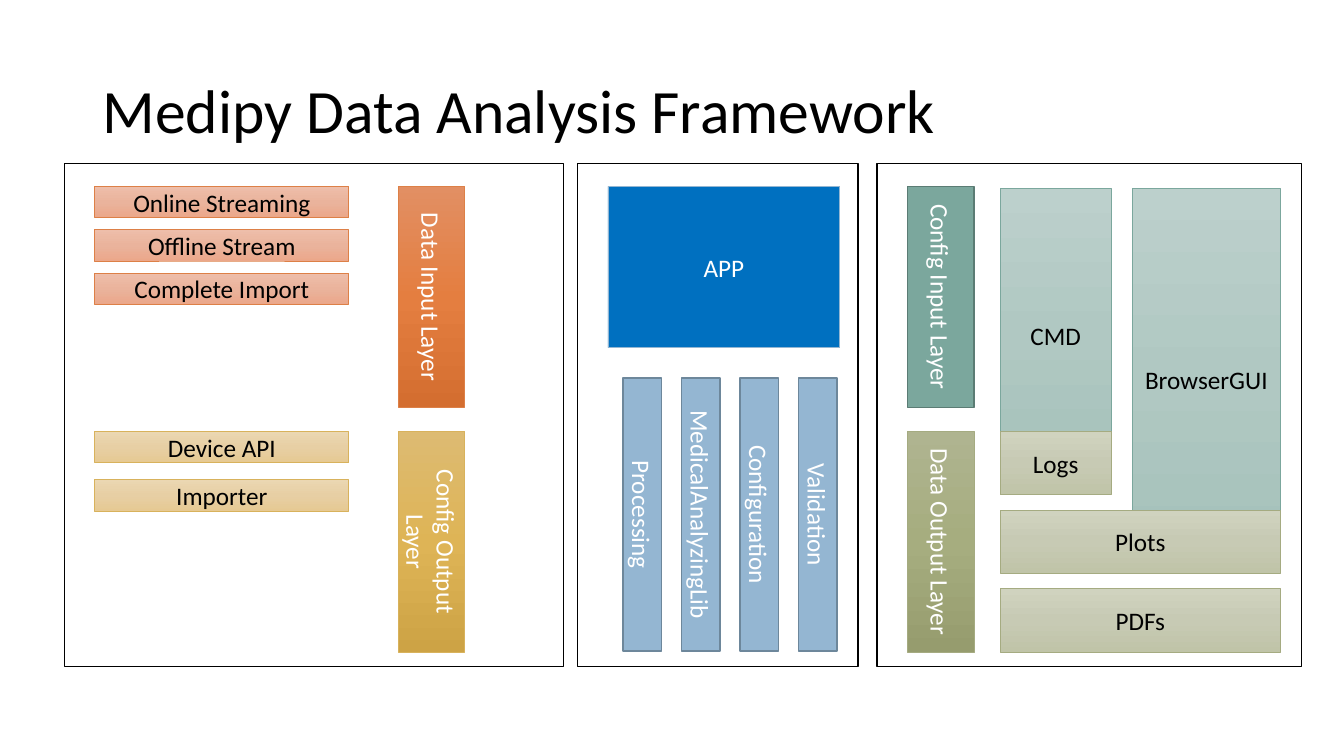
from collections import namedtuple
from copy import deepcopy

from pptx import Presentation
from pptx.dml.color import RGBColor
from pptx.enum.shapes import MSO_SHAPE
from pptx.enum.text import MSO_ANCHOR, PP_ALIGN
from pptx.oxml.ns import qn
from pptx.util import Inches, Pt

RECTANGLE = MSO_SHAPE.RECTANGLE
MIDDLE = MSO_ANCHOR.MIDDLE
CENTER = PP_ALIGN.CENTER
FONT = "Calibri"

BLACK = RGBColor(0x00, 0x00, 0x00)
WHITE = RGBColor(0xFF, 0xFF, 0xFF)
APP_BLUE = RGBColor(0x00, 0x70, 0xC0)
SOFT_BLUE = RGBColor(0x94, 0xB6, 0xD2)
SLATE = RGBColor(0x6D, 0x87, 0x9B)
ORANGE = RGBColor(0xDD, 0x80, 0x47)
GOLD = RGBColor(0xD8, 0xB2, 0x5C)
TEAL = RGBColor(0x7B, 0xA7, 0x9D)
DARK_TEAL = RGBColor(0x5B, 0x7C, 0x74)
OLIVE = RGBColor(0xA5, 0xAB, 0x81)

ORANGE_FADE = [RGBColor(0xE2, 0x8F, 0x63), RGBColor(0xE4, 0x7E, 0x40), RGBColor(0xD4, 0x6E, 0x30)]
PEACH_FADE = [RGBColor(0xEE, 0xBE, 0xAA), RGBColor(0xEA, 0xB3, 0x9C), RGBColor(0xEB, 0xA7, 0x8A)]
GOLD_FADE = [RGBColor(0xDD, 0xBB, 0x72), RGBColor(0xDE, 0xB4, 0x56), RGBColor(0xCD, 0xA3, 0x45)]
SAND_FADE = [RGBColor(0xEB, 0xD7, 0xB2), RGBColor(0xE7, 0xCF, 0xA4), RGBColor(0xE6, 0xC9, 0x93)]
MINT_FADE = [RGBColor(0xBC, 0xD0, 0xCC), RGBColor(0xB0, 0xC8, 0xC2), RGBColor(0xA4, 0xC1, 0xBA)]
OLIVE_FADE = [RGBColor(0xAF, 0xB4, 0x90), RGBColor(0xA6, 0xAD, 0x7F), RGBColor(0x96, 0x9C, 0x6E)]
SAGE_FADE = [RGBColor(0xD0, 0xD3, 0xBF), RGBColor(0xC7, 0xCA, 0xB4), RGBColor(0xC0, 0xC4, 0xA8)]

# A style's colors: one for a solid fill, three for a fade from top to bottom.
Style = namedtuple("Style", "colors line width text")
APP = Style([APP_BLUE], SOFT_BLUE, 0.5, WHITE)
MODULE = Style([SOFT_BLUE], SLATE, 1, WHITE)
DATA_INPUT = Style(ORANGE_FADE, ORANGE, 0.5, WHITE)
DATA_SOURCE = Style(PEACH_FADE, ORANGE, 0.5, BLACK)
CONFIG_OUTPUT = Style(GOLD_FADE, GOLD, 0.5, WHITE)
CONFIG_TARGET = Style(SAND_FADE, GOLD, 0.5, BLACK)
CONFIG_INPUT = Style([TEAL], DARK_TEAL, 1, WHITE)
INTERFACE = Style(MINT_FADE, TEAL, 0.5, BLACK)
DATA_OUTPUT = Style(OLIVE_FADE, OLIVE, 0.5, WHITE)
RESULT = Style(SAGE_FADE, OLIVE, 0.5, BLACK)

Box = namedtuple("Box", "left top width height")
TITLE_BOX = Box(0.92, 0.4, 11.5, 1.45)
DEVICE_PANEL = Box(0.64, 1.62, 4.95, 4.99)
APP_PANEL = Box(5.73, 1.62, 2.78, 4.99)
USER_PANEL = Box(8.7, 1.62, 4.21, 4.99)

LAYER_SIZE = (0.66, 2.19)
LAYER_TOPS = (0.23, 2.66)


def inside(panel, left, top, width, height):
    return Box(panel.left + left, panel.top + top, width, height)


def format_runs(paragraph, size, color):
    for run in paragraph.runs:
        run.font.name = FONT
        run.font.size = Pt(size)
        run.font.color.rgb = color


def fade(shape, colors):
    """Fill the shape with evenly spaced colors running downwards."""
    shape.fill.gradient()
    shape.fill.gradient_angle = 270
    stop_list = shape._element.spPr.find(qn("a:gradFill")).find(qn("a:gsLst"))
    stop_list.insert(1, deepcopy(stop_list[0]))
    for i, (stop, color) in enumerate(zip(shape.fill.gradient_stops, colors)):
        stop.position = i / (len(colors) - 1)
        stop.color.rgb = color


def add_rectangle(slide, box, line, width):
    rectangle = slide.shapes.add_shape(RECTANGLE, *map(Inches, box))
    rectangle.shadow.inherit = False
    rectangle.line.color.rgb = line
    rectangle.line.width = Pt(width)
    return rectangle


def add_frame(slide, panel):
    add_rectangle(slide, panel, BLACK, 1).fill.background()


def add_block(slide, box, label, style, vertical=False):
    block = add_rectangle(slide, box, style.line, style.width)
    if len(style.colors) == 1:
        block.fill.solid()
        block.fill.fore_color.rgb = style.colors[0]
    else:
        fade(block, style.colors)
    frame = block.text_frame
    frame.text = label
    frame.word_wrap = True
    frame.vertical_anchor = MIDDLE
    if vertical:
        frame._txBody.bodyPr.set("vert", "vert")
    frame.paragraphs[0].alignment = CENTER
    format_runs(frame.paragraphs[0], 18, style.text)


def add_layers(slide, panel, left, layers):
    """Stack the upright layer bars of a panel."""
    for top, (label, style) in zip(LAYER_TOPS, layers):
        add_block(slide, inside(panel, left, top, *LAYER_SIZE), label, style, vertical=True)


def add_title(slide, box):
    frame = slide.shapes.add_textbox(*map(Inches, box)).text_frame
    frame.word_wrap = True
    frame.vertical_anchor = MIDDLE
    frame.text = "Medipy Data Analysis Framework"
    frame.paragraphs[0].line_spacing = 0.9
    format_runs(frame.paragraphs[0], 44, BLACK)


def add_device_panel(slide, panel):
    add_frame(slide, panel)
    groups = [
        (0.23, 0.43, DATA_SOURCE, ["Online Streaming", "Offline Stream", "Complete Import"]),
        (2.66, 0.48, CONFIG_TARGET, ["Device API", "Importer"]),
    ]
    for top, pitch, style, labels in groups:
        for i, label in enumerate(labels):
            add_block(slide, inside(panel, 0.3, top + i * pitch, 2.52, 0.31), label, style)
    add_layers(slide, panel, 3.31, [("Data Input Layer", DATA_INPUT),
                                    ("Config Output Layer", CONFIG_OUTPUT)])


def add_app_panel(slide, panel):
    add_frame(slide, panel)
    add_block(slide, inside(panel, 0.3, 0.23, 2.3, 1.6), "APP", APP)
    modules = ["Processing", "MedicalAnalyzingLib", "Configuration", "Validation"]
    for i, label in enumerate(modules):
        add_block(slide, inside(panel, 0.45 + i * 0.58, 2.13, 0.38, 2.71), label, MODULE,
                  vertical=True)


def add_user_panel(slide, panel):
    add_frame(slide, panel)
    add_layers(slide, panel, 0.3, [("Config Input Layer", CONFIG_INPUT),
                                   ("Data Output Layer", DATA_OUTPUT)])
    add_block(slide, inside(panel, 2.53, 0.25, 1.47, 3.78), "BrowserGUI", INTERFACE)
    add_block(slide, inside(panel, 1.22, 0.25, 1.1, 2.92), "CMD", INTERFACE)
    results = [("Logs", 1.1), ("Plots", 2.78), ("PDFs", 2.78)]
    for i, (label, width) in enumerate(results):
        add_block(slide, inside(panel, 1.22, 2.66 + i * 0.78, width, 0.63), label, RESULT)


def main():
    presentation = Presentation()
    presentation.slide_width = Inches(13.33)
    presentation.slide_height = Inches(7.5)
    slide = presentation.slides.add_slide(presentation.slide_layouts[6])
    add_title(slide, TITLE_BOX)
    add_device_panel(slide, DEVICE_PANEL)
    add_app_panel(slide, APP_PANEL)
    add_user_panel(slide, USER_PANEL)
    presentation.save("out.pptx")


if __name__ == "__main__":
    main()
